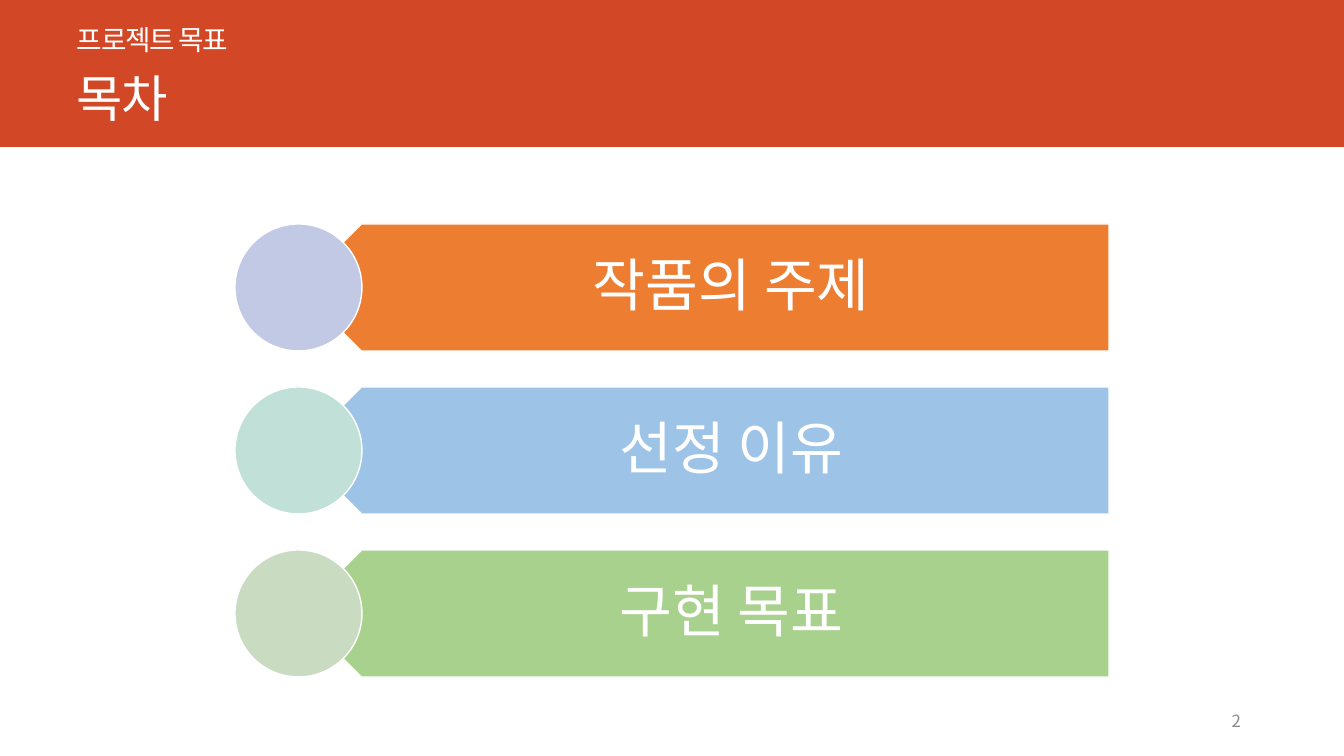
"""Build the contents slide: a red header band and three labelled arrow bars."""
from lxml.etree import SubElement
from pptx import Presentation
from pptx.dml.color import RGBColor
from pptx.enum.shapes import MSO_SHAPE as SHAPE
from pptx.enum.text import MSO_ANCHOR as ANCHOR, MSO_AUTO_SIZE as FIT, PP_ALIGN as ALIGN
from pptx.oxml.ns import qn
from pptx.util import Pt

PX = 9071
FONT = "Noto Sans CJK KR"
COLORS = {
    "white": "FFFFFF", "header": "D24726", "number": "8C8C8C",
    "orange": "ED7D31", "lavender": "C1C9E4",
    "blue": "9DC3E6", "mint": "C1E0D7",
    "green": "A9D18E", "sage": "C9DBC1",
}


def add_shape(kind, box, fill, outlined=True):
    shape = slide.shapes.add_shape(kind, *[v * PX for v in box])
    shape.shadow.inherit = False
    shape.fill.solid()
    shape.fill.fore_color.rgb = RGBColor.from_string(COLORS[fill])
    if outlined:
        shape.line.color.rgb = RGBColor.from_string(COLORS["white"])
        shape.line.width = Pt(1)
    else:
        shape.line.fill.background()
    return shape


def write(holder, text, size, color, align, anchor, tracking=0, spacing=1.0, insets=(10, 5, 10, 5)):
    frame = holder.text_frame
    sides = ("margin_left", "margin_top", "margin_right", "margin_bottom")
    formats = {"word_wrap": True, "auto_size": FIT.NONE, "vertical_anchor": anchor}
    formats.update({side: inset * PX for side, inset in zip(sides, insets)})
    for key, value in formats.items():
        setattr(frame, key, value)
    paragraph = frame.paragraphs[0]
    paragraph.alignment = align
    paragraph.line_spacing = spacing
    run = paragraph.add_run()
    run.text = text
    for key, value in {"size": Pt(size), "name": FONT, "bold": False}.items():
        setattr(run.font, key, value)
    run.font.color.rgb = RGBColor.from_string(COLORS[color])
    properties = run._r.get_or_add_rPr()
    SubElement(properties, qn("a:ea")).set("typeface", FONT)
    if tracking:
        properties.set("spc", str(tracking * 100))


deck = Presentation()
deck.slide_width, deck.slide_height = 1344 * PX, 756 * PX
slide = deck.slides.add_slide(deck.slide_layouts[5])

header = add_shape(SHAPE.RECTANGLE, (0, 0, 1344, 147), "header", outlined=False)
slide.shapes._spTree.insert(2, header._element)

title = slide.shapes.title
for key, value in {"left": 67, "top": 0, "width": 1185, "height": 133}.items():
    setattr(title, key, value * PX)
write(title, "목차", 36, "white", ALIGN.LEFT, ANCHOR.BOTTOM, tracking=-1, spacing=0.9)

page_number = slide.shapes.add_textbox(890 * PX, 701 * PX, 361 * PX, 40 * PX)
write(page_number, "2", 12, "number", ALIGN.RIGHT, ANCHOR.MIDDLE)

topics = [
    ("작품의 주제", "orange", "lavender"),
    ("선정 이유", "blue", "mint"),
    ("구현 목표", "green", "sage"),
]
first_top, pitch, bar_height = 224, 163, 127
for index, (topic, bar_color, circle_color) in enumerate(topics):
    top = first_top + index * pitch
    bar = add_shape(SHAPE.PENTAGON, (298, top, 811, bar_height), bar_color)
    bar.rotation = 180
    label = slide.shapes.add_textbox(330 * PX, top * PX, 779 * PX, bar_height * PX)
    write(label, topic, 41, "white", ALIGN.CENTER, ANCHOR.MIDDLE, spacing=0.9, insets=(56, 17, 32, 17))
    add_shape(SHAPE.OVAL, (235, top, bar_height, bar_height), circle_color)

section = slide.shapes.add_textbox(67 * PX, 20 * PX, 1185 * PX, 41 * PX)
write(section, "프로젝트 목표", 19.8, "white", ALIGN.LEFT, ANCHOR.BOTTOM, tracking=-1, spacing=0.9)

deck.save("out.pptx")
